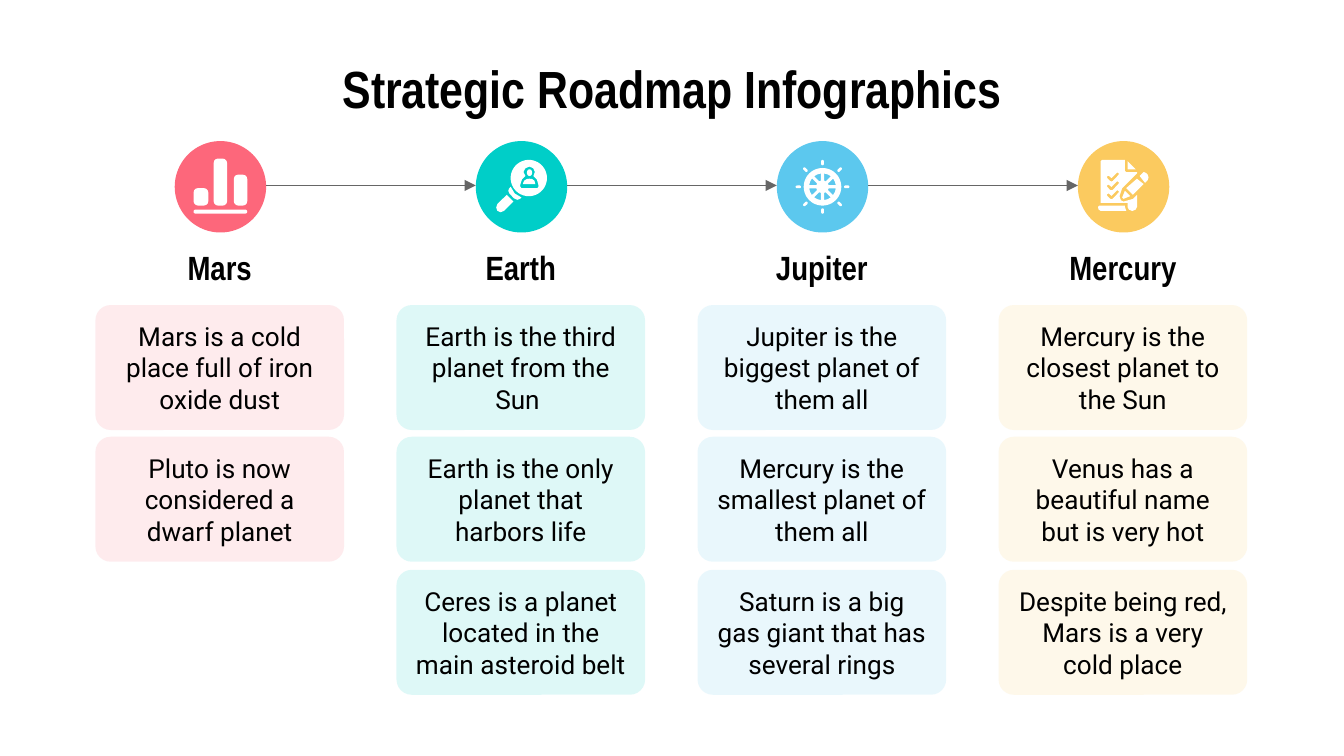
from math import cos, pi, sin

from lxml import etree
from pptx import Presentation
from pptx import util as u
from pptx.dml.color import RGBColor
from pptx.enum import shapes, text
from pptx.oxml.ns import qn

PX = 9144  # 100 px to the inch
COLORS = {
    "red": "FD677B",
    "teal": "00CEC8",
    "blue": "5CC8EE",
    "yellow": "FBCA5F",
    "white": "FFFFFF",
    "black": "000000",
    "gray": "666666",
}
OVAL = shapes.MSO_SHAPE.OVAL
ROUNDED = shapes.MSO_SHAPE.ROUNDED_RECTANGLE

presentation = Presentation()
presentation.slide_width = 1000 * PX
presentation.slide_height = u.Inches(5.625)
slide = presentation.slides.add_slide(presentation.slide_layouts[6])


def add_item(box, words="", kind=None, fill="white", alpha=100, corner=None,
             font="Roboto", size=14, bold=False):
    """Add a filled preset shape, or a text box when no kind is given."""
    box = [round(value * PX) for value in box]
    if kind is None:
        shape = slide.shapes.add_textbox(*box)
    else:
        shape = slide.shapes.add_shape(kind, *box)
        shape.shadow.inherit = False
        shape.line.fill.background()
        shape.fill.solid()
        shape.fill.fore_color.rgb = RGBColor.from_string(COLORS[fill])
        if corner is not None:
            shape.adjustments[0] = corner
        if alpha < 100:
            color = shape.fill._xPr.find(".//" + qn("a:srgbClr"))
            etree.SubElement(color, qn("a:alpha"), val=str(alpha * 1000))
    if words:
        frame = shape.text_frame
        frame.word_wrap = True
        frame.vertical_anchor = text.MSO_ANCHOR.MIDDLE
        frame.margin_left = frame.margin_right = 10 * PX
        frame.margin_top = frame.margin_bottom = 10 * PX
        paragraph = frame.paragraphs[0]
        paragraph.alignment = text.PP_ALIGN.CENTER
        run = paragraph.add_run()
        run.text = words
        run.font.name = font
        run.font.size = u.Pt(size)
        run.font.bold = bold
        run.font.color.rgb = RGBColor.from_string(COLORS["black"])
    return shape


def add_outline(*contours):
    """Add one white shape; contours inside the first one become holes."""
    contours = [[(x * PX, y * PX) for x, y in contour] for contour in contours]
    builder = slide.shapes.build_freeform(*contours[0][0], scale=1.0)
    builder.add_line_segments(contours[0][1:])
    for contour in contours[1:]:
        builder.move_to(*contour[0])
        builder.add_line_segments(contour[1:])
    shape = builder.convert_to_shape()
    shape.shadow.inherit = False
    shape.line.fill.background()
    shape.fill.solid()
    shape.fill.fore_color.rgb = RGBColor.from_string(COLORS["white"])


add_item((50, 45, 900, 41), "Strategic Roadmap Infographics",
         font="Arial Narrow", size=28, bold=True)

# Columns
COLUMN_STEP = 224
COLUMNS = [
    ("Mars", "red", ["Mars is a cold place full of iron oxide dust",
                     "Pluto is now considered a dwarf planet"]),
    ("Earth", "teal", ["Earth is the third planet from the Sun ",
                       "Earth is the only planet that harbors life",
                       "Ceres is a planet located in the main asteroid belt"]),
    ("Jupiter", "blue", ["Jupiter is the biggest planet of them all",
                         "Mercury is the smallest planet of them all",
                         "Saturn is a big gas giant that has several rings"]),
    ("Mercury", "yellow", ["Mercury is the closest planet to the Sun",
                           "Venus has a beautiful name but is very hot",
                           "Despite being red, Mars is a very cold place"]),
]
for column, (planet, color, facts) in enumerate(COLUMNS):
    left = 71 + column * COLUMN_STEP
    add_item((left + 59, 105, 68, 68), kind=OVAL, fill=color)
    add_item((left + 15, 181, 155, 36), planet,
             font="Arial Narrow", size=18, bold=True)
    for row, fact in enumerate(facts):
        add_item((left, 227 + row * 197 // 2, 185, 93), fact, kind=ROUNDED,
                 fill=color, alpha=13, corner=0.122)

# Arrows between the circles
for column in range(len(COLUMNS) - 1):
    start = 198 + column * COLUMN_STEP
    arrow = slide.shapes.add_connector(
        shapes.MSO_CONNECTOR.STRAIGHT,
        start * PX, 138 * PX, (start + 156) * PX, 138 * PX)
    arrow.line.color.rgb = RGBColor.from_string(COLORS["gray"])
    arrow.line.width = u.Pt(0.75)
    etree.SubElement(arrow.line._get_or_add_ln(), qn("a:tailEnd"), type="triangle")
    etree.SubElement(arrow._element.spPr, qn("a:effectLst"))

# Bar chart icon
for box, corner in [((144, 156, 40, 3), 0.5), ((144, 140, 11, 13), 0.3),
                    ((159, 118, 10, 35), 0.33), ((174, 130, 10, 23), 0.33)]:
    add_item(box, kind=ROUNDED, corner=corner)

UNIT_CIRCLE = [(cos(step * pi / 24), sin(step * pi / 24)) for step in range(48)]

# Magnifier icon
lens = [(393.5 + 13.5 * x, 132.5 + 13.5 * y) for x, y in UNIT_CIRCLE]
person = [(394, 124), (396.8, 125.2), (398, 128), (397, 131), (399.5, 133.5),
          (400.5, 137), (400.8, 138.5), (400, 140), (388, 140), (387, 138.5),
          (387.3, 137), (388.5, 133.5), (391, 131), (389.5, 128), (391, 125.2)]
add_outline(lens, person)
add_item((392, 126, 4, 5), kind=OVAL)
add_outline([(389, 137), (390, 134.5), (392, 133.3), (394, 133), (396, 133.3),
             (397.7, 134.5), (398.3, 137)])
add_outline([(380, 139), (378.8, 140.3), (378.2, 142), (379, 144), (382.5, 147.7),
             (385, 148.7), (387, 148), (388, 147), (383, 144)])
add_outline([(377, 145), (370, 152), (369.2, 154.5), (370, 156.8), (372.3, 158),
             (375, 157), (382, 150), (381, 149), (378, 146)])

# Wheel icon
rim = [(612 + 14 * x, 139 + 14 * y) for x, y in UNIT_CIRCLE]
gaps = []
for spoke in range(8):
    angle = spoke * pi / 4
    corners = [(10, 0.12), (10, 0.4), (10, 0.67), (4.7, 0.54), (4.7, 0.25)]
    gaps.append([(612 + radius * cos(angle + turn), 139 + radius * sin(angle + turn))
                 for radius, turn in corners])
    handle = add_item((611 + 18 * sin(angle), 137 - 18 * cos(angle), 2, 4),
                      kind=ROUNDED, corner=0.5)
    handle.rotation = spoke * 45
add_outline(rim, *gaps)

# Checklist icon
page = [(820, 119), (837, 119), (837, 127), (838, 128), (846, 128), (846, 129),
        (835, 140), (833, 146), (834, 149), (836, 150), (843, 148), (846, 145),
        (846, 154), (845, 156), (842.5, 157), (840, 156), (839, 154), (839, 151),
        (819, 151), (819, 120)]
check = [(831.3, 128.3), (832.5, 129), (832.4, 130), (828, 134.7), (827, 135),
         (826, 134.7), (823.7, 132.3), (823.7, 131.2), (825, 130.8), (827, 132.5)]
checks = [[(x, y + drop) for x, y in check] for drop in (0, 6.6, 13.2)]
add_outline(page, *checks)
add_outline([(851, 128), (850, 129), (848, 131), (852, 136), (854, 134),
             (854.6, 132), (854, 130), (852.6, 128.6)])
add_outline([(837, 142), (835, 147), (836, 148), (841, 146)])
add_outline([(846, 133), (838, 140), (843, 145), (851, 137)])
add_outline([(839, 120), (839, 126), (845, 126)])
add_outline([(818, 153), (817, 154), (817.3, 155.8), (819, 157), (838, 157),
             (837, 154), (837, 153)])

presentation.save("out.pptx")
